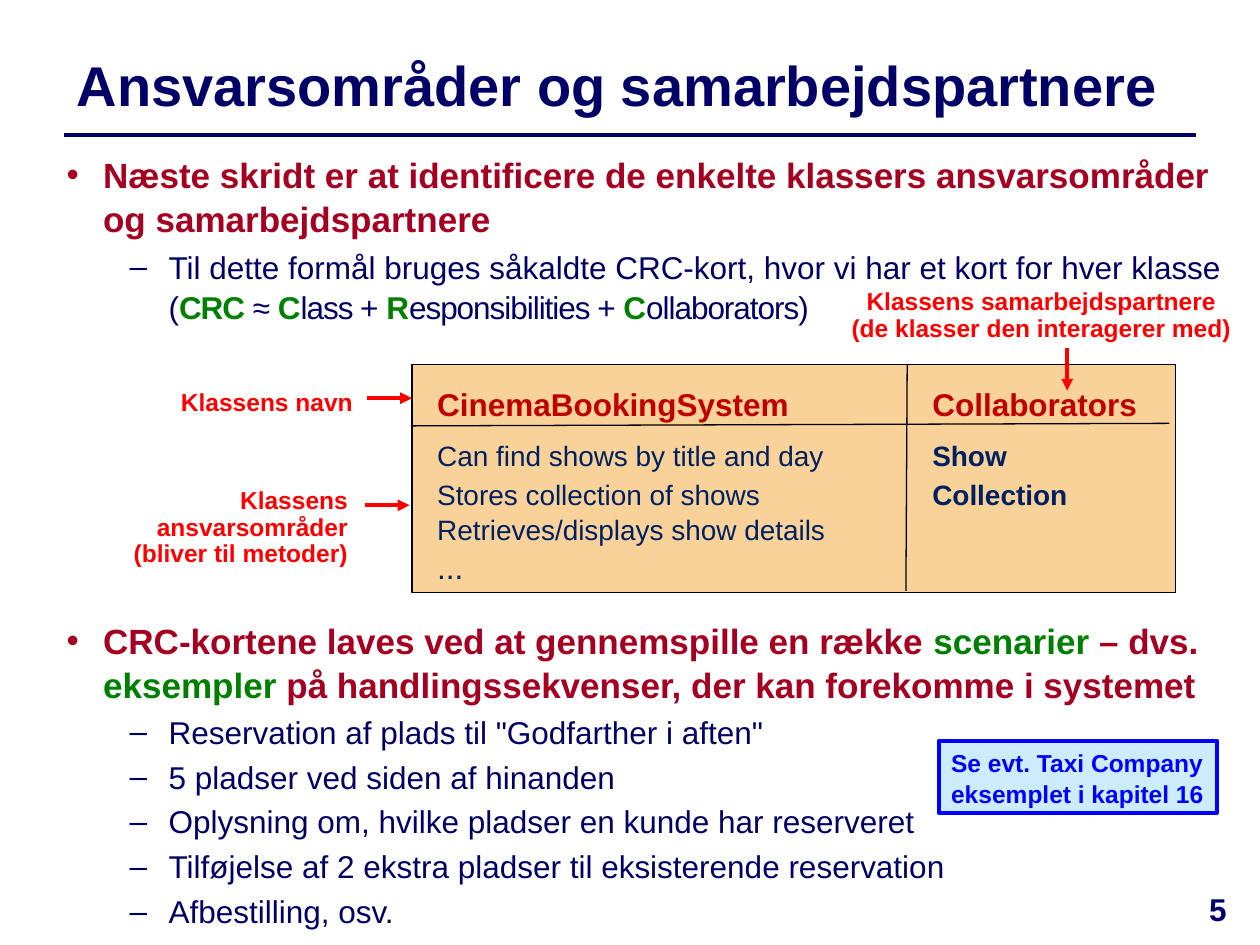
from pptx import Presentation
from pptx.dml.color import RGBColor
from pptx.enum.shapes import MSO_CONNECTOR as Conn, MSO_SHAPE as Kind
from pptx.enum.text import MSO_ANCHOR as Anchor, PP_ALIGN as Align
from pptx.oxml.ns import qn
from pptx.util import Inches, Pt
from lxml.etree import SubElement

NAVY = RGBColor(0x00, 0x00, 0x66)
WINE = RGBColor(0xA5, 0x00, 0x21)
GREEN = RGBColor(0x00, 0x80, 0x00)
RED = RGBColor(0xFF, 0x00, 0x00)
BRICK = RGBColor(0xC0, 0x00, 0x00)
INK = RGBColor(0x00, 0x20, 0x60)
BLUE = RGBColor(0x00, 0x00, 0xFF)
SKY = RGBColor(0xCC, 0xEC, 0xFF)
SAND = RGBColor(0xF9, 0xD2, 0x9A)
WHITE = RGBColor(0xFF, 0xFF, 0xFF)
BLACK = RGBColor(0x00, 0x00, 0x00)

# Content: a run is (text, size, colour, bold)
TITLE = "Ansvarsområder og samarbejdspartnere"
GOAL = [("Næste skridt er at identificere de enkelte klassers ansvarsområder "
         "og samarbejdspartnere", 20, WINE, True)]
PURPOSE = "Til dette formål bruges såkaldte CRC-kort, hvor vi har et kort for hver klasse\n"
ACRONYM = [("(", False), ("CRC ", True), ("≈ ", False), ("C", True), ("lass + ", False),
           ("R", True), ("esponsibilities + ", False), ("C", True), ("ollaborators)", False)]
PLAY = [("CRC-kortene laves ved at gennemspille en række ", WINE), ("scenarier", GREEN),
        (" – dvs. ", WINE), ("eksempler", GREEN),
        (" på handlingssekvenser, der kan forekomme i systemet", WINE)]
SCENES = ['Reservation af plads til "Godfarther i aften"',
          "5 pladser ved siden af hinanden",
          "Oplysning om, hvilke pladser en kunde har reserveret",
          "Tilføjelse af 2 ekstra pladser til eksisterende reservation",
          "Afbestilling, osv."]
# Card rows: left, right, size, colour, left bold, line spacing, space before
CARD = [("CinemaBookingSystem", "Collaborators", 18, BRICK, True, 1.4, 0),
        ("Can find shows by title and day", "Show", 16, INK, False, 1.1, 7),
        ("Stores collection of shows", "Collection", 16, INK, False, 1.1, 1),
        ("Retrieves/displays show details", "", 16, INK, False, 1.05, 0),
        ("...", "", 18, INK, False, 1.05, 0)]
# Labels: text, box, alignment, line spacing, arrow
LABELS = [("Klassens navn", (1.17, 3.01, 1.73, 0.34), Align.RIGHT, 1.05,
           (2.91, 3.16, 3.27, 3.16)),
          ("Klassens ansvarsområder\n(bliver til metoder)", (0.82, 3.83, 2.04, 0.74),
           Align.RIGHT, 0.9, (2.9, 4.01, 3.25, 4.01)),
          ("Klassens samarbejdspartnere\n(de klasser den interagerer med)",
           (6.65, 2.25, 3.23, 0.53), Align.CENTER, 0.9, (8.47, 2.76, 8.47, 3.1))]
NOTE = "Se evt. Taxi Company eksemplet i kapitel 16"

deck = Presentation()
deck.slide_width, deck.slide_height = Inches(10), Inches(7.5)
slide = deck.slides.add_slide(deck.slide_layouts[6])


def add_box(area, fill=None, line=None, width=0.75, anchor=Anchor.TOP):
    """Add a text box, or a rectangle when a fill is given; return its frame."""
    place = [Inches(v) for v in area]
    if fill is None:
        box = slide.shapes.add_textbox(*place)
    else:
        box = slide.shapes.add_shape(Kind.RECTANGLE, *place)
        box.shadow.inherit = False
        box.fill.solid()
        box.fill.fore_color.rgb = fill
        if line is None:
            box.line.fill.background()
        else:
            box.line.color.rgb = line
            box.line.width = Pt(width)
    frame = box.text_frame
    frame.word_wrap = True
    frame.vertical_anchor = anchor
    return frame


def add_para(frame, runs, align=Align.LEFT, gap=0, pitch=1.05):
    """Add a paragraph of runs, using the empty first one when there is one."""
    para = frame.paragraphs[0]
    if para.runs:
        para = frame.add_paragraph()
    para.alignment, para.line_spacing = align, pitch
    para.space_before = Pt(gap)
    for text, size, color, bold in runs:
        for i, part in enumerate(text.split("\n")):
            if i:
                para.add_line_break()
            if part:
                run = para.add_run()
                run.text = part
                font = run.font
                font.name, font.size, font.bold = "Arial", Pt(size), bold
                font.color.rgb = color
    return para


def add_item(frame, runs, level=0, gap=0):
    """Add a bulleted paragraph with a hanging indent."""
    para = add_para(frame, runs, gap=gap)
    mark, left, hang = [("•", 0.29, 0.29), ("–", 0.81, 0.31)][level]
    props = para._p.get_or_add_pPr()
    props.set("marL", str(Inches(left)))
    props.set("indent", str(-Inches(hang)))
    SubElement(props, qn("a:buFont"), typeface="Arial")
    SubElement(props, qn("a:buChar"), char=mark)
    return para


def add_line(ends, color, width, arrow=False):
    line = slide.shapes.add_connector(Conn.STRAIGHT, *[Inches(v) for v in ends])
    line.line.color.rgb = color
    line.line.width = Pt(width)
    if arrow:
        SubElement(line.line._get_or_add_ln(), qn("a:tailEnd"), type="triangle")
    SubElement(line._element.spPr, qn("a:effectLst"))


# Title, rule and page number
add_line((0.51, 1.07, 9.49, 1.07), NAVY, 2)
add_para(add_box((0.51, 0.29, 9.37, 0.75), anchor=Anchor.MIDDLE),
         [(TITLE, 32, NAVY, True)], pitch=1)
add_para(add_box((9.33, 7, 0.67, 0.5)), [("5", 18, NAVY, True)], Align.CENTER)

# Goal and purpose
body = add_box((0.43, 1.15, 9.44, 1.37), WHITE)
add_item(body, GOAL)
spell = [(text, 18, GREEN if key else NAVY, key) for text, key in ACRONYM]
para = add_item(body, [(PURPOSE, 18, NAVY, False)] + spell, 1, 4)
for run in para.runs[1:]:
    run._r.get_or_add_rPr().set("spc", "-60")

# CRC card
card = add_box((3.27, 2.89, 6.06, 1.81), SAND, BLACK)
card.margin_left = Inches(0.2)
for left, right, size, color, bold, pitch, gap in CARD:
    runs = [(left, size, color, bold)]
    if right:
        runs.append(("\t" + right, size, color, True))
    para = add_para(card, runs, gap=gap, pitch=pitch)
    tabs = SubElement(para._p.get_or_add_pPr(), qn("a:tabLst"))
    SubElement(tabs, qn("a:tab"), pos=str(Inches(3.93)), algn="l")
add_line((3.27, 3.38, 9.28, 3.36), BLACK, 0.75)
add_line((7.2, 2.89, 7.19, 4.69), BLACK, 0.75)

# Labels with arrows
for text, area, align, pitch, ends in LABELS:
    add_para(add_box(area), [(text, 14, RED, True)], align, pitch=pitch)
    add_line(ends, RED, 2.25, arrow=True)

# Scenarios
body = add_box((0.43, 4.85, 9.29, 2.44))
add_item(body, [(text, 20, color, True) for text, color in PLAY])
for scene in SCENES:
    add_item(body, [(scene, 18, NAVY, False)], 1, 3)

# Note
add_para(add_box((7.45, 5.88, 2.21, 0.57), SKY, BLUE, 2.25), [(NOTE, 14, BLUE, True)])

deck.save("out.pptx")
